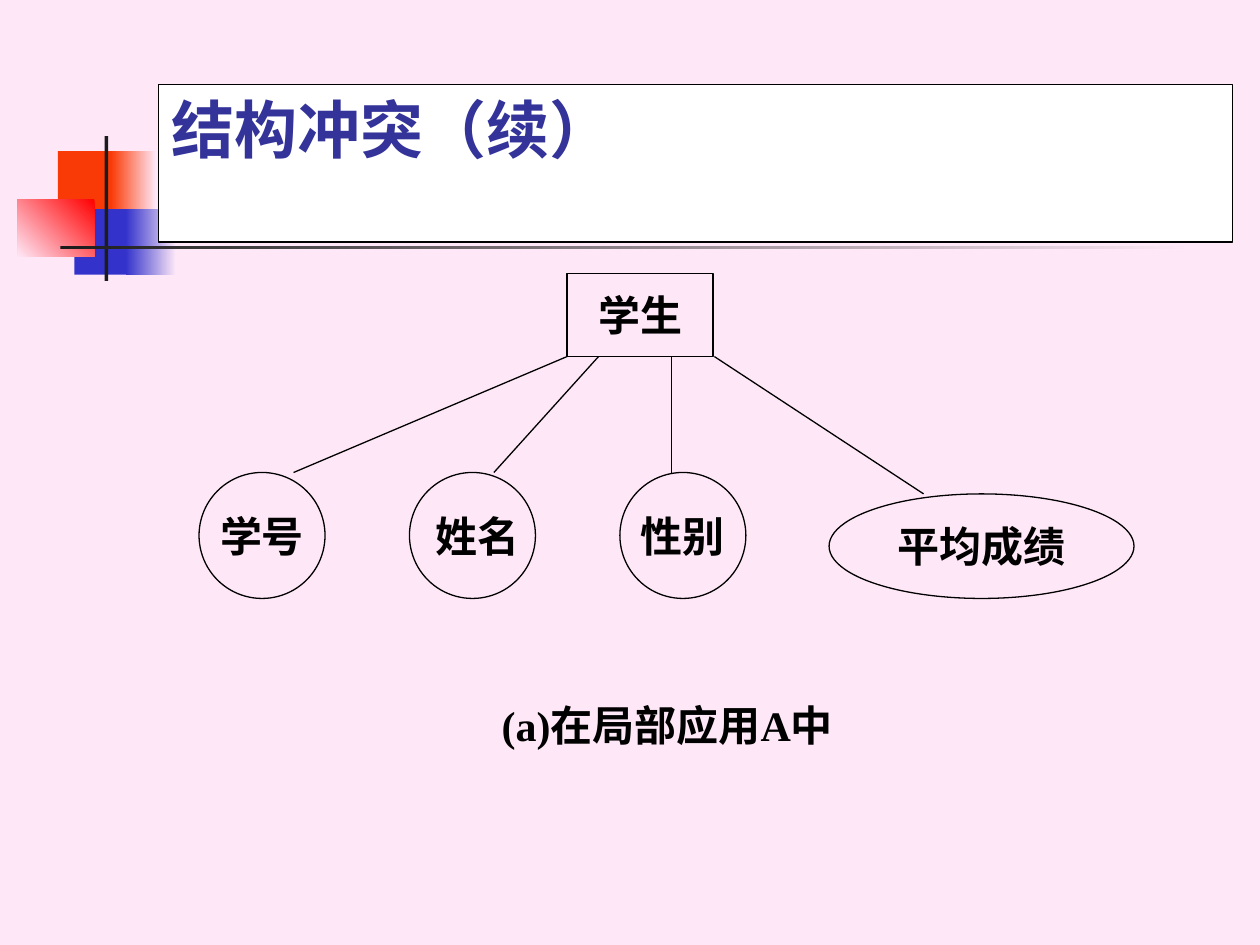
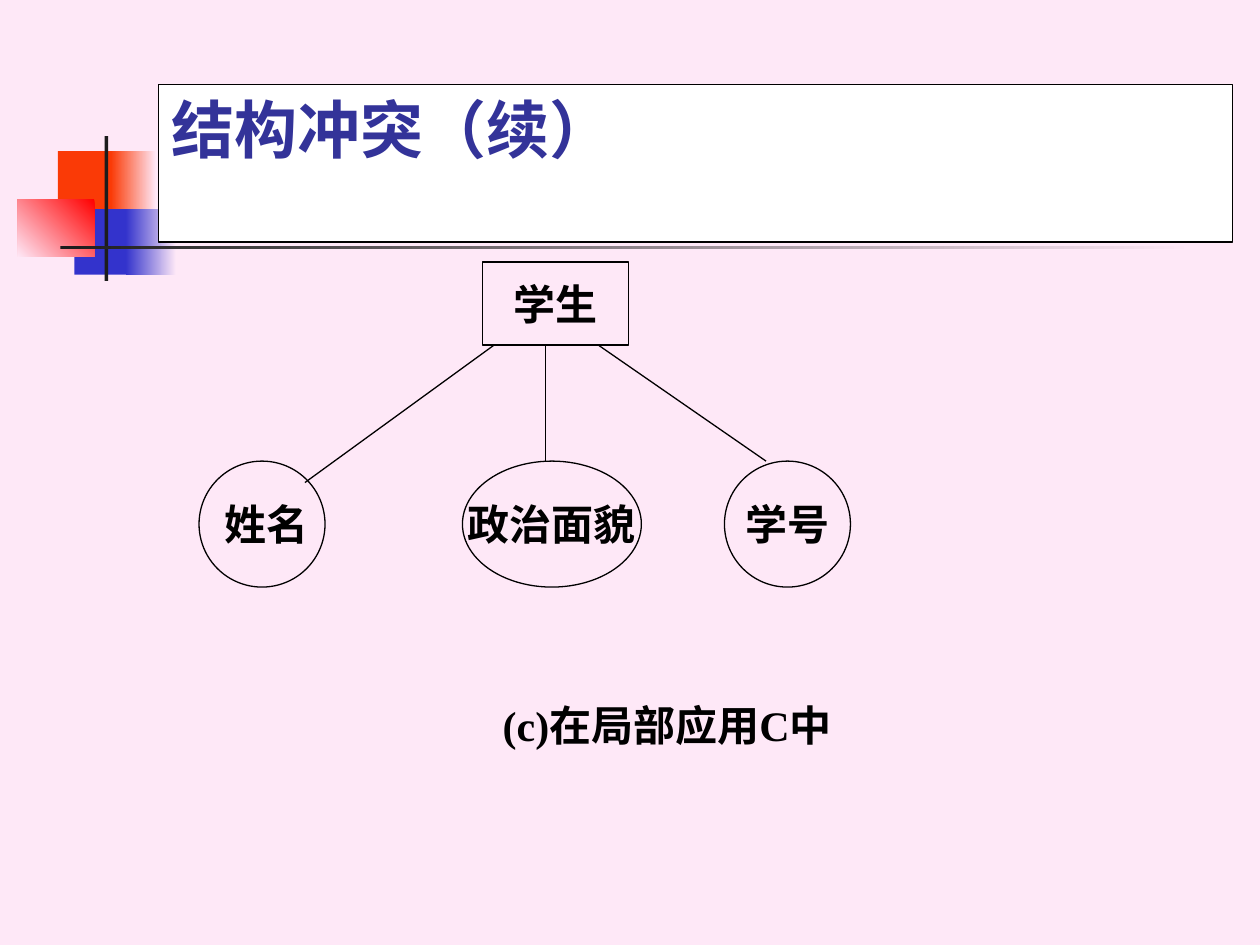
import dataclasses

import pptx
import pptx.dml.color
import pptx.enum.shapes
import pptx.enum.text
import pptx.oxml.ns
import pptx.util
from lxml import etree

Inches = pptx.util.Inches
SHAPES = pptx.enum.shapes.MSO_SHAPE
ANCHOR = pptx.enum.text.MSO_ANCHOR
ALIGN = pptx.enum.text.PP_ALIGN

PINK, ORANGE, BLUE, RED = "FEE8F7", "FA3A06", "3333CC", "FF0000"
DARK, BLACK, WHITE, NAVY = "1C1C1C", "000000", "FFFFFF", "333399"
TITLE_FONT, BODY_FONT = "Roboto", "Times New Roman"
LINE_WIDTH = pptx.util.Pt(0.75)

ENTITY_WIDTH, ENTITY_HEIGHT = 1.16, 0.66
TREE_LEFT, TREE_HEIGHT = 1.58, 2.58
CIRCLE = 1.0


@dataclasses.dataclass
class Attribute:
    """An oval of the tree and the line that joins it to the entity."""
    text: str
    left: float  # from the left of the tree
    link_start: float  # from the left of the entity
    link_end: float  # from the left of the oval
    width: float = CIRCLE
    height: float = CIRCLE
    link_dip: float = 0  # how far the line ends below the top of a circle


def colour(value):
    return pptx.dml.color.RGBColor.from_string(value)


def add_shape(page, kind, left, top, width, height, fill=None, line=None):
    """Add a shape; fill is one colour, or (start, end, angle) for a gradient."""
    shape = page.shapes.add_shape(
        kind, Inches(left), Inches(top), Inches(width), Inches(height))
    shape.shadow.inherit = False
    if fill is None:
        shape.fill.background()
    elif isinstance(fill, str):
        shape.fill.solid()
        shape.fill.fore_color.rgb = colour(fill)
    else:
        start, end, angle = fill
        shape.fill.gradient()
        shape.fill.gradient_angle = angle
        for stop, value in zip(shape.fill.gradient_stops, (start, end)):
            stop.color.rgb = colour(value)
    if line:
        shape.line.color.rgb = colour(line)
        shape.line.width = LINE_WIDTH
    else:
        shape.line.fill.background()
    return shape


def add_line(page, start, end):
    line = page.shapes.add_connector(
        pptx.enum.shapes.MSO_CONNECTOR.STRAIGHT,
        *(Inches(value) for value in (*start, *end)))
    line.line.color.rgb = colour(BLACK)
    line.line.width = LINE_WIDTH
    etree.SubElement(line._element.spPr, pptx.oxml.ns.qn("a:effectLst"))


def write(shape, text, size=24, font=BODY_FONT, color=BLACK, bold=True,
          align=ALIGN.CENTER, anchor=ANCHOR.MIDDLE, wrap=False):
    frame = shape.text_frame
    frame.word_wrap = wrap
    frame.vertical_anchor = anchor
    para = frame.paragraphs[0]
    para.alignment = align
    span = para.add_run()
    span.text = text
    span.font.size = pptx.util.Pt(size)
    span.font.name = font
    span.font.bold = bold
    span.font.color.rgb = colour(color)


def draw_ornament(page, left, top):
    """Coloured blocks and the two crossing bars beside the title."""
    blocks = [
        (0.32, 0.12, 0.48, 0.52, ORANGE),
        (0.74, 0.12, 0.36, 0.52, (ORANGE, PINK, 0)),
        (0.45, 0.58, 0.46, 0.52, BLUE),
        (0.86, 0.58, 0.40, 0.52, (BLUE, PINK, 0)),
        (0.00, 0.50, 0.61, 0.46, (RED, PINK, 225)),
        (0.69, 0.00, 0.03, 1.15, DARK),
        (0.34, 0.87, 9.00, 0.03, (DARK, PINK, 0)),
    ]
    for x, y, width, height, fill in blocks:
        add_shape(page, SHAPES.RECTANGLE, left + x, top + y, width, height, fill)


def draw_title(page, text, left, top, width, height):
    box = add_shape(page, SHAPES.RECTANGLE, left, top, width, height, WHITE, BLACK)
    write(box, text, size=36, font=TITLE_FONT, color=NAVY,
          align=ALIGN.LEFT, anchor=ANCHOR.TOP, wrap=True)


def draw_tree(page, entity, attributes, left, top, entity_left):
    """An entity box joined to a row of ovals that share a bottom edge."""
    box = add_shape(page, SHAPES.RECTANGLE, left + entity_left, top,
                    ENTITY_WIDTH, ENTITY_HEIGHT, line=BLACK)
    write(box, entity)
    bottom = top + TREE_HEIGHT
    for item in attributes:
        oval_left = left + item.left
        oval = add_shape(page, SHAPES.OVAL, oval_left, bottom - item.height,
                         item.width, item.height, line=BLACK)
        write(oval, item.text)
        add_line(page,
                 (left + entity_left + item.link_start, top + ENTITY_HEIGHT),
                 (oval_left + item.link_end, bottom - CIRCLE + item.link_dip))


def draw_caption(page, text, left, top, width, height):
    box = page.shapes.add_textbox(
        Inches(left), Inches(top), Inches(width), Inches(height))
    write(box, text)


def build_page(deck, caption, attributes, tree_top, entity_left):
    page = deck.slides.add_slide(deck.slide_layouts[6])
    page.background.fill.solid()
    page.background.fill.fore_color.rgb = colour(PINK)
    draw_ornament(page, 0.14, 1.08)
    draw_title(page, "结构冲突（续）", 1.26, 0.67, 8.52, 1.25)
    draw_tree(page, "学生", attributes, TREE_LEFT, tree_top, entity_left)
    draw_caption(page, caption, 3.67, 5.42, 3.25, 0.67)


def main():
    deck = pptx.Presentation()
    deck.slide_width, deck.slide_height = Inches(10), Inches(7.5)

    # Local application A
    build_page(deck, "(a)在局部应用A中", [
        Attribute("学号", 0, 0, 0.75),
        Attribute(" 姓名", 1.67, 0.25, 0.67),
        Attribute("性别", 3.34, 0.83, 0.41),
        Attribute("平均成绩", 5, 1.17, 0.75, width=2.42, height=0.83,
                  link_dip=0.17),
    ], tree_top=2.17, entity_left=2.92)

    # Local application C
    build_page(deck, "(c)在局部应用C中", [
        Attribute(" 姓名", 0, 0.09, 0.84, link_dip=0.17),
        Attribute(" 政治面貌 ", 2.09, 0.5, 0.66, width=1.42),
        Attribute("学号", 4.17, 0.92, 0.33),
    ], tree_top=2.08, entity_left=2.25)

    deck.save("out.pptx")


if __name__ == "__main__":
    main()
